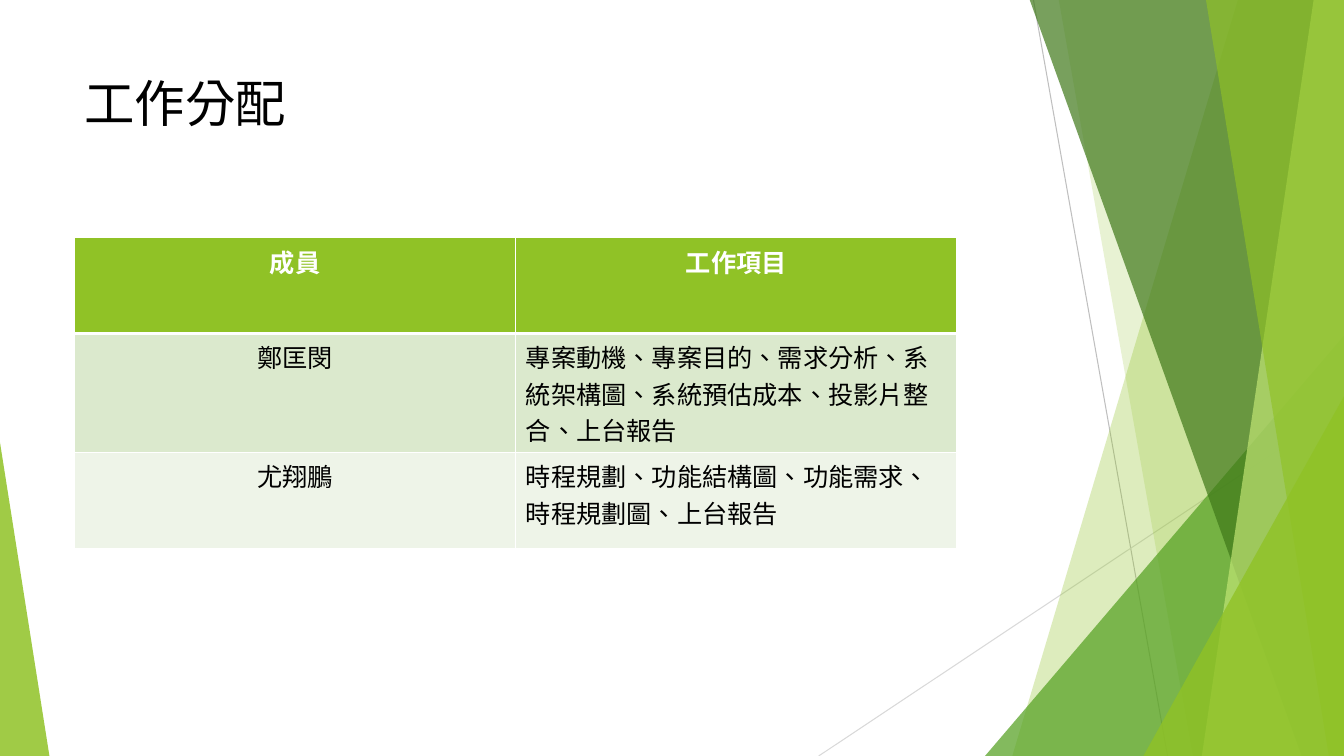
from dataclasses import dataclass

from lxml import etree
from pptx import Presentation
from pptx.dml.color import RGBColor
from pptx.enum import lang, shapes, text
from pptx.oxml import ns
from pptx.util import Inches, Pt


@dataclass(frozen=True)
class Theme:
    font: str = "Cabin"
    title_size: int = 36
    body_size: int = 18
    ink: str = "000000"
    paper: str = "FFFFFF"
    lime: str = "90C226"
    green: str = "54A021"
    forest: str = "3F7819"
    pale_lime: str = "C0E474"
    row_fills: tuple = ("DBE9CD", "EEF4E8")
    steep_ray: str = "BFBFBF"
    shallow_ray: str = "D9D9D9"


THEME = Theme()
RIGHT, BOTTOM, BLEED = 13.33, 7.5, -0.01

ASSIGNMENTS = [
    ("成員", "工作項目"),
    ("鄭匡閔", "專案動機、專案目的、需求分析、系統架構圖、系統預估成本、投影片整合、上台報告"),
    ("尤翔鵬", "時程規劃、功能結構圖、功能需求、時程規劃圖、上台報告"),
]
ROW_HEIGHTS = (0.95, 1.18, 0.95)


def add_ray(slide, start, end, color):
    ends = [Inches(value) for value in (*start, *end)]
    ray = slide.shapes.add_connector(shapes.MSO_CONNECTOR.STRAIGHT, *ends)
    ray.line.color.rgb = RGBColor.from_string(color)
    ray.line.width = Pt(0.75)
    etree.SubElement(ray._element.spPr, ns.qn("a:effectLst"))


def paint(facet, color, opacity):
    """Give a borderless, shadowless fill; opacity is in percent."""
    facet.shadow.inherit = False
    facet.line.fill.background()
    facet.fill.solid()
    facet.fill.fore_color.rgb = RGBColor.from_string(color)
    tint = facet._element.spPr.find(ns.qn("a:solidFill"))[0]
    etree.SubElement(tint, ns.qn("a:alpha"), val=str(opacity * 1000))


def add_band(slide, top_x, bottom_x, color, opacity):
    """Fill from a slanted left edge to the right edge of the slide."""
    corners = [(RIGHT, BLEED), (RIGHT, BOTTOM), (bottom_x, BOTTOM)]
    outline = slide.shapes.build_freeform(Inches(top_x), Inches(BLEED))
    outline.add_line_segments([(Inches(x), Inches(y)) for x, y in corners])
    paint(outline.convert_to_shape(), color, opacity)


def add_corner(slide, left, top, width, apex, color, opacity):
    """Draw a triangle standing on the bottom edge; apex runs from 0 to 1."""
    box = [Inches(value) for value in (left, top, width, BOTTOM - top)]
    corner = slide.shapes.add_shape(shapes.MSO_SHAPE.ISOSCELES_TRIANGLE, *box)
    corner.adjustments[0] = apex
    paint(corner, color, opacity)


def add_facets(slide):
    add_ray(slide, (10.25, 0), (11.58, BOTTOM), THEME.steep_ray)
    add_ray(slide, (RIGHT, 4.03), (8.12, BOTTOM), THEME.shallow_ray)
    add_band(slide, 12.28, 10.04, THEME.lime, 30)
    add_band(slide, 10.5, 11.83, THEME.lime, 20)
    add_corner(slide, 9.77, 3.33, 3.56, 1, THEME.green, 72)
    add_band(slide, 10.21, 12.91, THEME.forest, 70)
    add_band(slide, 13.03, 11.92, THEME.pale_lime, 70)
    add_band(slide, 11.96, 13.18, THEME.lime, 65)
    add_corner(slide, 11.34, 3.93, 1.99, 1, THEME.lime, 80)
    add_corner(slide, 0, 4.39, 0.49, 0, THEME.lime, 85)


def write(frame, words, size, color, bold=False, align=text.PP_ALIGN.LEFT):
    paragraph = frame.paragraphs[0]
    paragraph.alignment = align
    run = paragraph.add_run()
    run.text = words
    look = {"name": THEME.font, "size": Pt(size), "bold": bold,
            "language_id": lang.MSO_LANGUAGE_ID.TRADITIONAL_CHINESE}
    for attribute, value in look.items():
        setattr(run.font, attribute, value)
    run.font.color.rgb = RGBColor.from_string(color)


def add_title(slide, words):
    box = [Inches(value) for value in (0.74, 0.67, 9.4, 1.44)]
    frame = slide.shapes.add_textbox(*box).text_frame
    frame.word_wrap = True
    write(frame, words, THEME.title_size, THEME.ink)


def add_borders(cell, widths):
    for position, (side, width) in enumerate(widths.items()):
        border = etree.Element(ns.qn(f"a:ln{side}"), w=str(Pt(width)))
        fill = etree.SubElement(border, ns.qn("a:solidFill"))
        etree.SubElement(fill, ns.qn("a:srgbClr"), val=THEME.paper)
        cell._tc.get_or_add_tcPr().insert(position, border)


def add_assignments(slide, rows):
    box = [Inches(value) for value in (0.74, 2.36, 8.75, sum(ROW_HEIGHTS))]
    table = slide.shapes.add_table(len(rows), len(rows[0]), *box).table
    fills = (THEME.lime, *THEME.row_fills)
    for r, row in enumerate(rows):
        header = r == 0
        table.rows[r].height = Inches(ROW_HEIGHTS[r])
        for c, words in enumerate(row):
            cell = table.cell(r, c)
            cell.fill.solid()
            cell.fill.fore_color.rgb = RGBColor.from_string(fills[r])
            centred = header or c == 0
            write(cell.text_frame, words, THEME.body_size,
                  THEME.paper if header else THEME.ink, header,
                  text.PP_ALIGN.CENTER if centred else text.PP_ALIGN.LEFT)
            add_borders(cell, {"L": 1, "R": 1, "T": 3 if r == 1 else 1,
                               "B": 3 if header else 1})


def main():
    deck = Presentation()
    deck.slide_width, deck.slide_height = Inches(RIGHT), Inches(BOTTOM)
    slide = deck.slides.add_slide(deck.slide_layouts[6])
    add_facets(slide)
    add_title(slide, "工作分配")
    add_assignments(slide, ASSIGNMENTS)
    deck.save("out.pptx")


if __name__ == "__main__":
    main()
